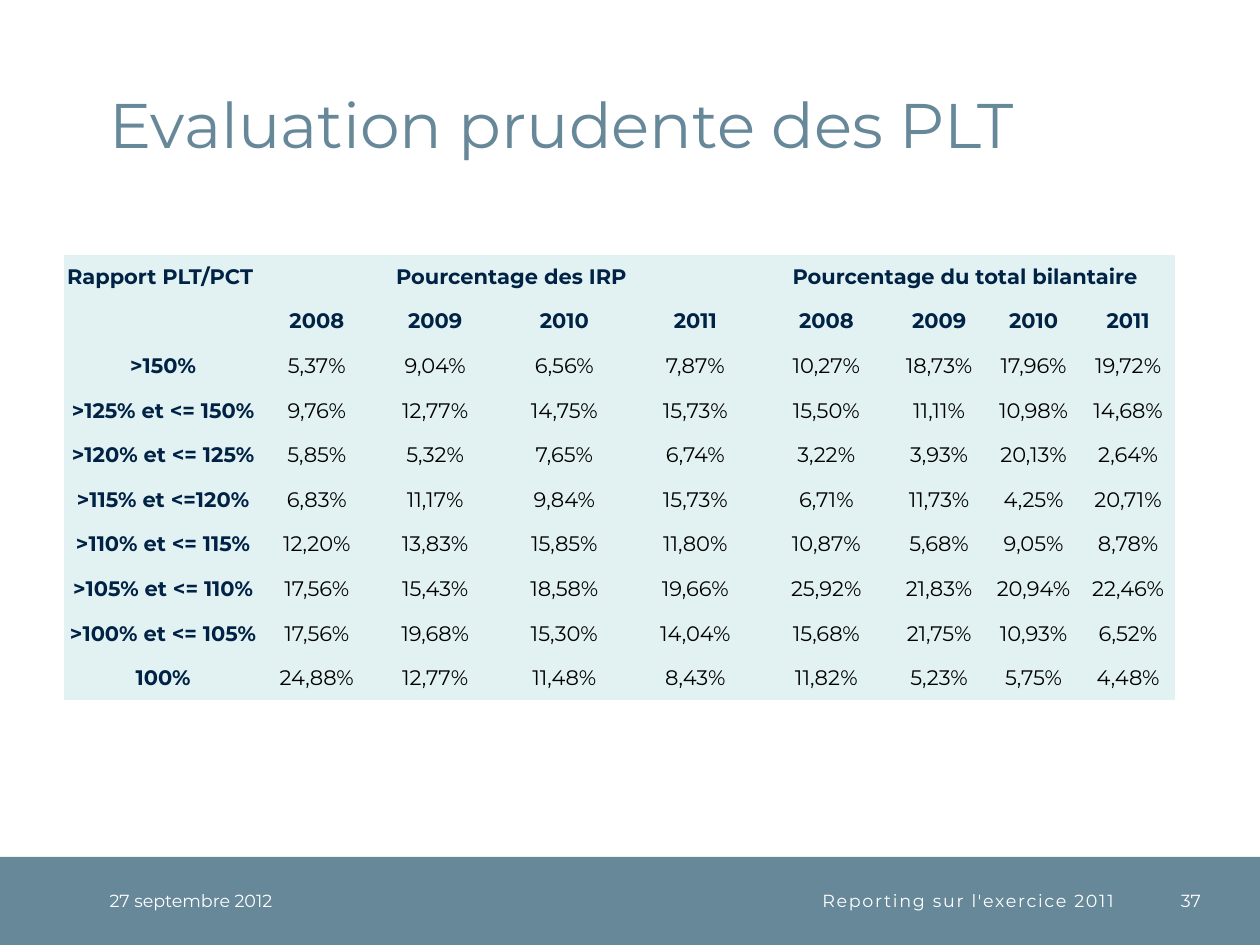
from dataclasses import dataclass

from pptx import Presentation
from pptx import util as u
from pptx.dml.color import RGBColor
from pptx.enum import shapes, text
from pptx.oxml.ns import qn

FONT = "Montserrat"
SLATE = RGBColor(0x66, 0x88, 0x99)
NAVY = RGBColor(0x00, 0x22, 0x44)
BLACK = RGBColor(0x00, 0x00, 0x00)
WHITE = RGBColor(0xFF, 0xFF, 0xFF)
MINT = RGBColor(0xE2, 0xF2, 0xF2)
LEFT, CENTER, RIGHT = text.PP_ALIGN.LEFT, text.PP_ALIGN.CENTER, text.PP_ALIGN.RIGHT
MIDDLE, BOTTOM = text.MSO_ANCHOR.MIDDLE, text.MSO_ANCHOR.BOTTOM
PLAIN = "{2D5ABB26-0587-4C30-8999-92F81FD0307C}"  # table style without borders


@dataclass
class Label:
    words: str
    left: float
    top: float
    width: float
    height: float
    size: float = 10
    color: RGBColor = WHITE
    align: text.PP_ALIGN = LEFT
    anchor: text.MSO_ANCHOR = MIDDLE
    lead: float | None = None
    track: float = 0


LABELS = [
    Label("Evaluation prudente des PLT", 0.87, 0.2, 8.63, 1.08, size=36,
          color=SLATE, anchor=BOTTOM, lead=32),
    Label("27 septembre 2012", 0.87, 6.8, 1.77, 0.7),
    Label("Reporting sur l'exercice 2011", 2.64, 6.8, 6.2, 0.7, align=RIGHT, track=1),
    Label("37", 9.04, 6.8, 0.49, 0.7, align=RIGHT),
]

WIDTHS = [1.57, 0.87, 1.01, 1.04, 1.04, 1.04, 0.75, 0.75, 0.75]
GROUPS = {1: "Pourcentage des IRP", 5: "Pourcentage du total bilantaire "}
YEARS = ["2008", "2009", "2010", "2011"]
RATES = {
    ">150%": "5,37% 9,04% 6,56% 7,87% 10,27% 18,73% 17,96% 19,72%",
    ">125% et <= 150%": "9,76% 12,77% 14,75% 15,73% 15,50% 11,11% 10,98% 14,68%",
    ">120% et <= 125%": "5,85% 5,32% 7,65% 6,74% 3,22% 3,93% 20,13% 2,64%",
    ">115% et <=120%": "6,83% 11,17% 9,84% 15,73% 6,71% 11,73% 4,25% 20,71%",
    ">110% et <= 115%": "12,20% 13,83% 15,85% 11,80% 10,87% 5,68% 9,05% 8,78%",
    ">105% et <= 110%": "17,56% 15,43% 18,58% 19,66% 25,92% 21,83% 20,94% 22,46%",
    ">100% et <= 105%": "17,56% 19,68% 15,30% 14,04% 15,68% 21,75% 10,93% 6,52%",
    "100%": "24,88% 12,77% 11,48% 8,43% 11,82% 5,23% 5,75% 4,48%",
}


def write(frame, words: str, *, size: float = 12, color: RGBColor = BLACK,
          bold: bool = False, align=CENTER, lead: float | None = None,
          track: float = 0) -> None:
    para = frame.paragraphs[0]
    para.alignment = align
    if lead:
        para.line_spacing = u.Pt(lead)
    run = para.add_run()
    run.text = words
    font = run.font
    font.name, font.size, font.bold = FONT, u.Pt(size), bold
    font.color.rgb = color
    if track:
        run._r.get_or_add_rPr().set("spc", str(int(track * 100)))


def add_label(slide, item: Label) -> None:
    box = slide.shapes.add_textbox(u.Inches(item.left), u.Inches(item.top),
                                   u.Inches(item.width), u.Inches(item.height))
    frame = box.text_frame
    frame.word_wrap = True
    frame.vertical_anchor = item.anchor
    frame.margin_left = frame.margin_right = frame.margin_top = frame.margin_bottom = 0
    write(frame, item.words, size=item.size, color=item.color, align=item.align,
          lead=item.lead, track=item.track)


def add_band(slide) -> None:
    band = slide.shapes.add_shape(shapes.MSO_SHAPE.RECTANGLE, 0, u.Inches(6.8),
                                  u.Inches(10), u.Inches(0.7))
    band.shadow.inherit = False
    band.fill.solid()
    band.fill.fore_color.rgb = SLATE
    band.line.fill.background()


def add_rates(slide) -> None:
    heads = [GROUPS.get(col, "") for col in range(len(WIDTHS))]
    heads[0] = "Rapport PLT/PCT "
    rows = [heads, [""] + YEARS * len(GROUPS)]
    rows += [[band] + rates.split() for band, rates in RATES.items()]

    table = slide.shapes.add_table(len(rows), len(WIDTHS), u.Inches(0.51), u.Inches(2.02),
                                   u.Inches(8.82), u.Inches(3.54)).table
    table.first_row = table.horz_banding = False
    table._tbl.tblPr.find(qn("a:tableStyleId")).text = PLAIN
    for col, width in zip(table.columns, WIDTHS):
        col.width = u.Inches(width)

    for r, row in enumerate(rows):
        for c, words in enumerate(row):
            cell = table.cell(r, c)
            cell.fill.solid()
            cell.fill.fore_color.rgb = MINT
            cell.vertical_anchor = MIDDLE
            cell.margin_left = cell.margin_right = cell.margin_top = cell.margin_bottom = 0
            head = r < 2 or c == 0
            if words:
                write(cell.text_frame, words, bold=head, color=NAVY if head else BLACK)

    # Each group heading spans its years
    for col in GROUPS:
        table.cell(0, col).merge(table.cell(0, col + len(YEARS) - 1))


def main() -> None:
    deck = Presentation()
    deck.slide_width, deck.slide_height = u.Inches(10), u.Inches(7.5)
    slide = deck.slides.add_slide(deck.slide_layouts[6])
    add_band(slide)
    for item in LABELS:
        add_label(slide, item)
    add_rates(slide)
    deck.save("out.pptx")


if __name__ == "__main__":
    main()
